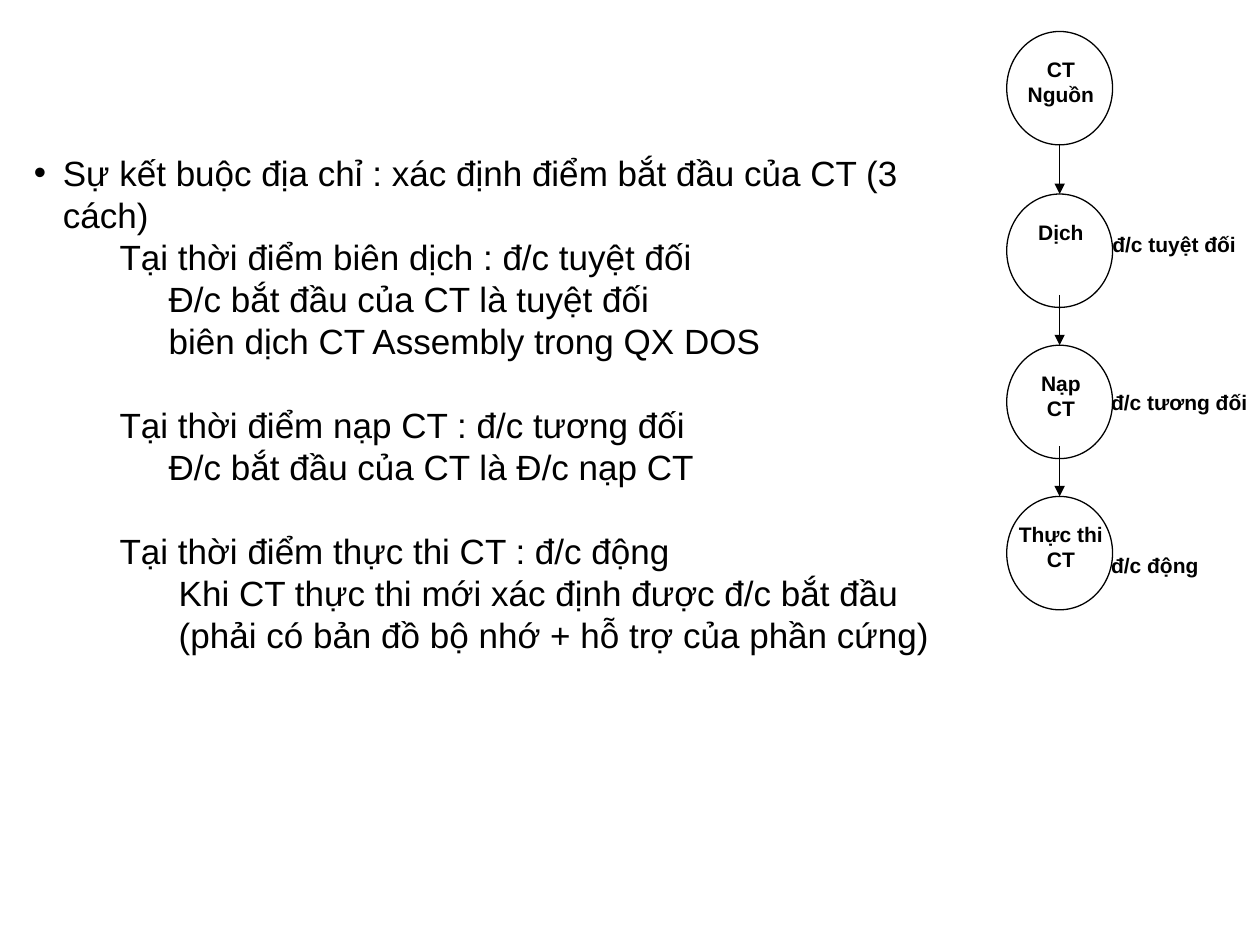
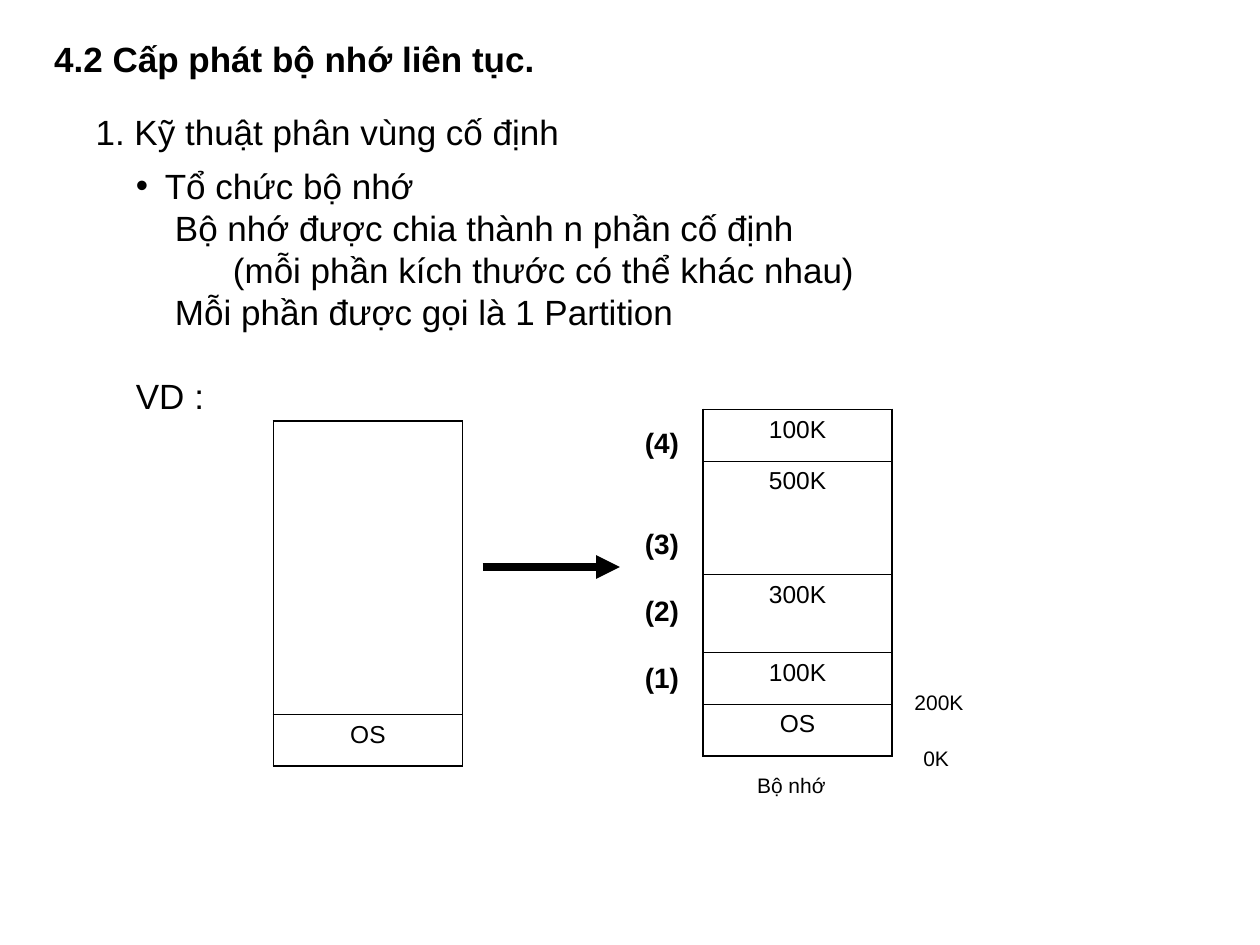
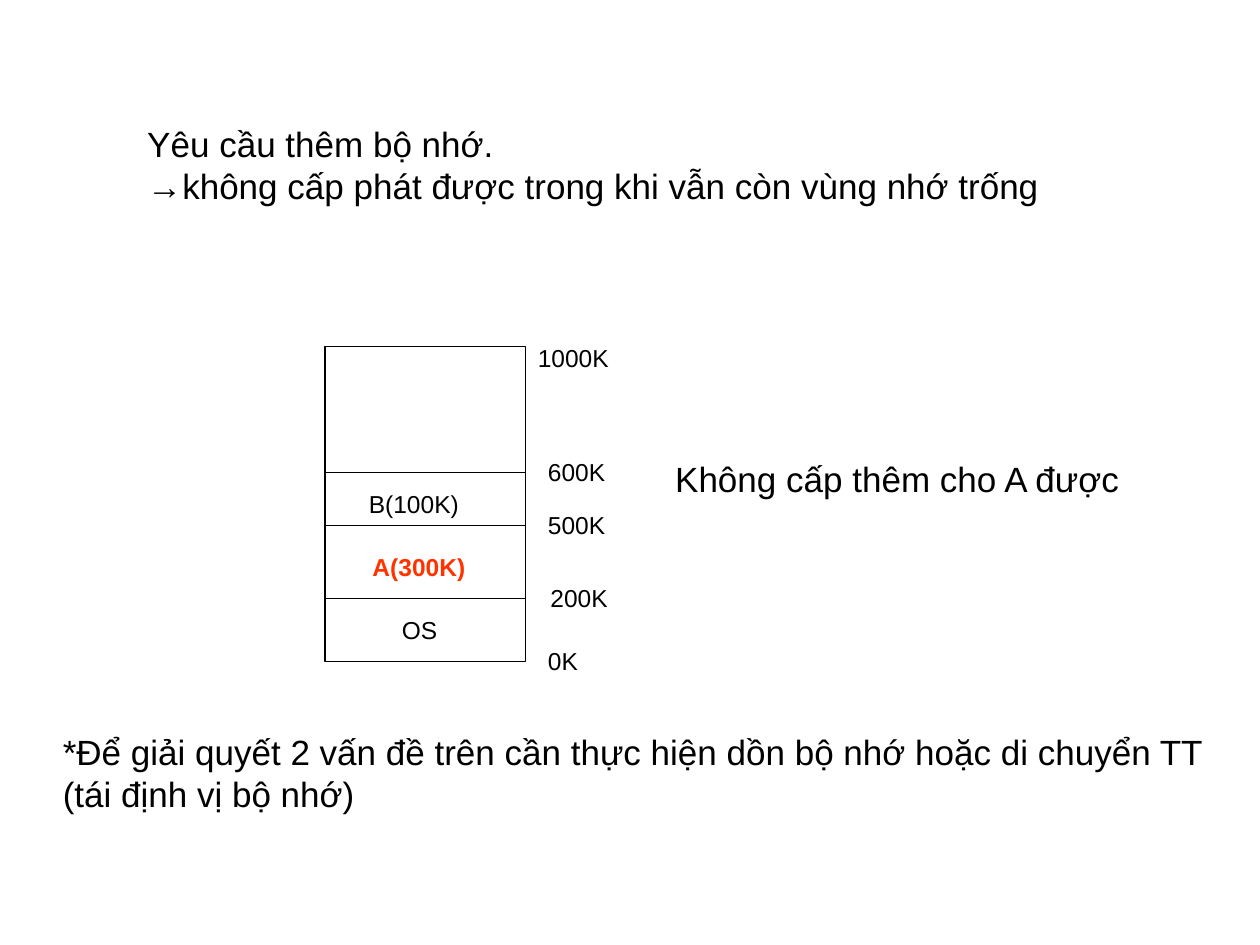
"""Build three slides on address binding and contiguous memory allocation."""
from lxml import etree
from pptx import Presentation
from pptx.dml.color import RGBColor
from pptx.enum.shapes import MSO_CONNECTOR, MSO_SHAPE
from pptx.enum.text import MSO_ANCHOR, MSO_AUTO_SIZE, PP_ALIGN
from pptx.oxml import parse_xml
from pptx.oxml.ns import nsdecls, qn
from pptx.util import Inches, Pt

BLACK = RGBColor(0x00, 0x00, 0x00)
ORANGE = RGBColor(0xFF, 0x33, 0x00)
FONT = "Arial"
LEFT, CENTER = PP_ALIGN.LEFT, PP_ALIGN.CENTER
SLACK = 0.04


def add_text(s, box, text, size, bold=False, color=BLACK, align=LEFT, wrap=False, sp=None):
    """Write text, one paragraph per line, in a new text box or a given shape."""
    left, top, width, height = box
    if not wrap:
        width += SLACK
        left -= SLACK / 2 if align == CENTER else 0
    left, top, width, height = [Inches(v) for v in (left, top, width, height)]
    if sp is None:
        sp = s.shapes.add_textbox(left, top, width, height)
    sp.left, sp.top, sp.width, sp.height = left, top, width, height
    tf = sp.text_frame
    tf.text = text
    tf.word_wrap = wrap
    tf.auto_size = MSO_AUTO_SIZE.SHAPE_TO_FIT_TEXT
    tf.vertical_anchor = MSO_ANCHOR.TOP
    for p in tf.paragraphs:
        p.alignment = align
        for r in p.runs:
            r.font.name, r.font.size, r.font.bold = FONT, Pt(size), bold
            r.font.color.rgb = color
    return tf


def add_line(s, x1, y1, x2, y2, width=0.75, arrow=False):
    """Draw a straight black line, with an arrowhead at its end if asked."""
    c = s.shapes.add_connector(MSO_CONNECTOR.STRAIGHT, Inches(x1), Inches(y1), Inches(x2), Inches(y2))
    c.line.color.rgb = BLACK
    c.line.width = Pt(width)
    if arrow:
        etree.SubElement(c.line._get_or_add_ln(), qn("a:tailEnd"), type="triangle")
    etree.SubElement(c._element.spPr, qn("a:effectLst"))


prs = Presentation()
prs.slide_width, prs.slide_height = Inches(10), Inches(7.5)
title_only, blank = prs.slide_layouts[5], prs.slide_layouts[6]

s = prs.slides.add_slide(blank)
binding = add_text(s, (0.17, 1.15, 7.75, 3.77), "\n".join([
    "Sự kết buộc địa chỉ : xác định điểm bắt đầu của CT (3 cách)",
    "Tại thời điểm biên dịch : đ/c tuyệt đối",
    "Đ/c bắt đầu của CT là tuyệt đối",
    "biên dịch CT Assembly trong QX DOS",
    "Tại thời điểm nạp CT : đ/c tương đối",
    "Đ/c bắt đầu của CT là Đ/c nạp CT",
    "Tại thời điểm thực thi CT : đ/c động",
    "Khi CT thực thi mới xác định được đ/c bắt đầu",
    "(phải có bản đồ bộ nhớ + hỗ trợ của phần cứng)",
]), 20, wrap=True)

stages = [("CT\nNguồn", 0.25, 0.73, 0.5), ("Dịch", 1.54, 0.56, 0.3),
          ("Nạp\nCT", 2.74, 0.51, 0.5), ("Thực thi\nCT", 3.94, 0.86, 0.5)]
for name, top, width, height in stages:
    sp = s.shapes.add_shape(MSO_SHAPE.OVAL, Inches(7.99), Inches(top), Inches(0.84), Inches(0.9))
    sp.shadow.inherit = False
    sp.fill.background()
    sp.line.color.rgb = BLACK
    sp.line.width = Pt(0.75)
    add_text(s, (8.42 - width / 2, top + 0.15, width, height), name, 12, True, align=CENTER)
for name, top, width, height in stages[1:]:
    add_line(s, 8.41, top - 0.4, 8.41, top, arrow=True)
for text, left, top, width in [("đ/c tuyệt đối", 8.73, 1.79, 1.18),
                               ("đ/c tương đối", 8.72, 3.04, 1.28),
                               ("đ/c động", 8.72, 4.34, 0.89)]:
    add_text(s, (left, top, width, 0.3), text, 12, True)

s = prs.slides.add_slide(title_only)
add_text(s, (0.33, 0.25, 4.01, 0.44), "4.2 Cấp phát bộ nhớ liên tục.", 20, True, sp=s.shapes.title)
add_text(s, (0.66, 0.83, 3.88, 0.44), "1. Kỹ thuật phân vùng cố định", 20)
partitioning = add_text(s, (0.98, 1.26, 8.35, 2.1), "\n".join([
    "Tổ chức bộ nhớ",
    "Bộ nhớ được chia thành n phần cố định",
    "(mỗi phần kích thước có thể khác nhau)",
    "Mỗi phần được gọi là 1 Partition",
    "VD :",
]), 20, wrap=True)

memories = [
    (5.58, 3.25, [("100K", 0.41), ("500K", 0.9), ("300K", 0.62), ("100K", 0.41), ("OS", 0.41)]),
    (2.17, 3.34, [("", 2.33), ("OS", 0.41)]),
]
for left, top, blocks in memories:
    frame = s.shapes.add_table(len(blocks), 1, Inches(left), Inches(top), Inches(1.5), Inches(2.74))
    table = frame.table
    table.first_row = table.horz_banding = False
    for i, (text, height) in enumerate(blocks):
        table.rows[i].height = Inches(height)
        cell = table.cell(i, 0)
        cell.text = text
        p = cell.text_frame.paragraphs[0]
        p.alignment = CENTER
        for r in p.runs:
            r.font.name, r.font.size = FONT, Pt(14)
            r.font.color.rgb = BLACK
        tcPr = cell._tc.get_or_add_tcPr()
        edges = {"lnL": 1.08, "lnR": 1.08, "lnT": 0.45 if i else 1.08,
                 "lnB": 1.08 if i == len(blocks) - 1 else 0.45}
        for edge, width in edges.items():
            tcPr.append(parse_xml(
                f'<a:{edge} {nsdecls("a")} w="{Pt(width)}"><a:solidFill>'
                f'<a:srgbClr val="{BLACK}"/></a:solidFill></a:{edge}>'))
        cell.fill.background()

for text, left, top, width in [("0K", 7.23, 5.87, 0.4), ("200K", 7.16, 5.42, 0.59),
                               ("Bộ nhớ", 5.91, 6.08, 0.74)]:
    add_text(s, (left, top, width, 0.3), text, 12)
numbers = add_text(s, (5.02, 3.33, 0.47, 2.24), "(4)\n(3)\n(2)\n(1)", 16, True)
for p, gap in zip(numbers.paragraphs[1:], (38.4, 19.2, 19.2)):
    p.space_before = Pt(gap)
add_line(s, 3.83, 4.5, 4.92, 4.5, 4.5, arrow=True)

outlines = [
    (binding, [0.23, 0.68, 1.07, 1.07, 0.68, 1.07, 0.68, 1.15, 1.15], (4, 6)),
    (partitioning, [0.23, 0.31, 0.77, 0.31, 0], (4,)),
]
for tf, indents, spaced in outlines:
    for i, (p, indent) in enumerate(zip(tf.paragraphs, indents)):
        pPr = p._p.get_or_add_pPr()
        pPr.set("marL", str(Inches(indent)))
        pPr.set("indent", str(0 if i else -Inches(indent)))
        if i == 0:
            etree.SubElement(pPr, qn("a:buFont"), typeface=FONT)
            etree.SubElement(pPr, qn("a:buChar"), char="•")
        if i in spaced:
            p.space_before = Pt(24)

s = prs.slides.add_slide(blank)
add_text(s, (1.07, 0.92, 7.28, 0.77),
         "Yêu cầu thêm bộ nhớ.\n→không cấp phát được trong khi vẫn còn vùng nhớ trống", 20)
sp = s.shapes.add_shape(MSO_SHAPE.RECTANGLE, Inches(2.58), Inches(2.75), Inches(1.59), Inches(2.5))
sp.shadow.inherit = False
sp.fill.background()
sp.line.color.rgb = BLACK
sp.line.width = Pt(0.75)
for y in (3.75, 4.17, 4.75):
    add_line(s, 2.58, y, 4.17, y)
for text, left, top, width in [("1000K", 4.17, 2.67, 0.76), ("600K", 4.25, 3.58, 0.65),
                               ("500K", 4.25, 4, 0.65), ("200K", 4.27, 4.58, 0.65),
                               ("0K", 4.25, 5.08, 0.44)]:
    add_text(s, (left, top, width, 0.34), text, 14)
for text, left, top, width, bold, color in [("B(100K)", 2.83, 3.83, 0.91, False, BLACK),
                                            ("A(300K)", 2.86, 4.33, 0.93, True, ORANGE),
                                            ("OS", 3.09, 4.83, 0.48, False, BLACK)]:
    add_text(s, (left, top, width, 0.34), text, 14, bold, color, CENTER)
add_text(s, (5.26, 3.58, 3.75, 0.44), "Không cấp thêm cho A được", 20)
add_text(s, (0.4, 5.75, 9.26, 0.77),
         "*Để giải quyết 2 vấn đề trên cần thực hiện dồn bộ nhớ hoặc di chuyển TT\n"
         "(tái định vị bộ nhớ)", 20)

prs.save("out.pptx")
